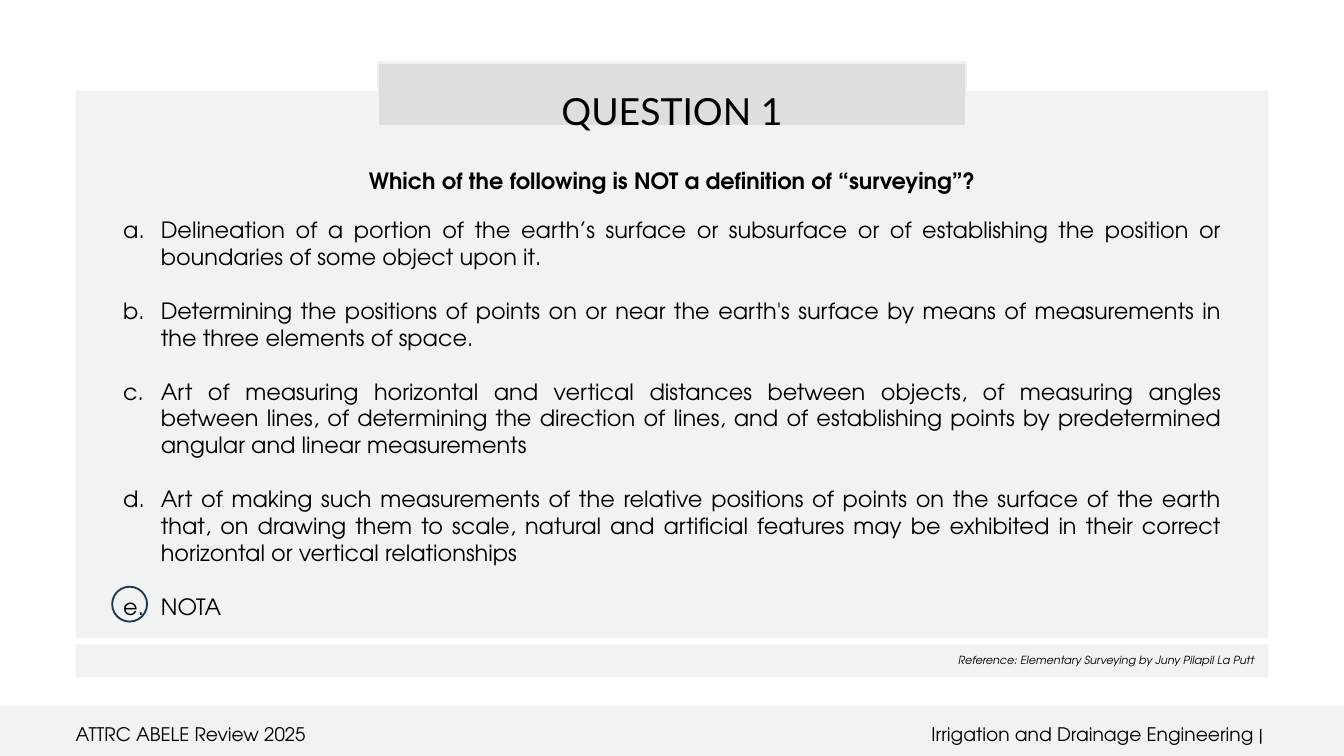
from lxml.etree import SubElement
from pptx import Presentation
from pptx.dml.color import RGBColor
from pptx.enum.shapes import MSO_SHAPE
from pptx.enum.text import PP_ALIGN
from pptx.oxml.ns import qn
from pptx.util import Pt

COLORS = {"panel": "F1F2F2", "tab": "DDDEDE", "ring": "233953", "text": "000000"}
BODY_FONT = "TeX Gyre Adventor"
TITLE_FONT = "Lato"
WIDTH, HEIGHT = 1440, 810
MARGIN = 81
CONTENT_WIDTH = WIDTH - 2 * MARGIN
INDENT = 40.3
OPTION_GAP = 28.8

OPTIONS = [
    "Delineation of a portion of the earth’s surface or subsurface or of "
    "establishing the position or boundaries of some object upon it.",
    "Determining the positions of points on or near the earth's surface by "
    "means of measurements in the three elements of space.",
    "Art of measuring horizontal and vertical distances between objects, of "
    "measuring angles between lines, of determining the direction of lines, "
    "and of establishing points by predetermined angular and linear measurements",
    "Art of making such measurements of the relative positions of points on "
    "the surface of the earth that, on drawing them to scale, natural and "
    "artificial features may be exhibited in their correct horizontal or "
    "vertical relationships",
    "NOTA",
]


def color(name):
    return RGBColor.from_string(COLORS[name])


def add_block(s, box, fill=None, line=None, line_width=2, kind=MSO_SHAPE.RECTANGLE):
    sp = s.shapes.add_shape(kind, *map(Pt, box))
    sp.shadow.inherit = False
    if fill:
        sp.fill.solid()
        sp.fill.fore_color.rgb = color(fill)
    else:
        sp.fill.background()
    if line:
        sp.line.color.rgb = color(line)
        sp.line.width = Pt(line_width)
    else:
        sp.line.fill.background()


def add_text(s, box, lines, size, align=PP_ALIGN.LEFT, spacing=None, gap=0,
             lettered=False, **font):
    tf = s.shapes.add_textbox(*map(Pt, box)).text_frame
    tf.word_wrap = True
    for side in ("left", "top", "right", "bottom"):
        setattr(tf, f"margin_{side}", 0)
    formats = {"name": BODY_FONT, "size": Pt(size), **font}
    for i, line in enumerate(lines):
        p = tf.paragraphs[0] if i == 0 else tf.add_paragraph()
        p.alignment = align
        if spacing:
            p.line_spacing = Pt(spacing)
        if i and gap:
            p.space_before = Pt(gap)
        if lettered:
            pPr = p._p.get_or_add_pPr()
            pPr.set("marL", str(Pt(INDENT)))
            pPr.set("indent", str(-Pt(INDENT)))
            SubElement(pPr, qn("a:buAutoNum"), type="alphaLcPeriod")
        r = p.add_run()
        r.text = line
        for key, value in formats.items():
            setattr(r.font, key, value)
        r.font.color.rgb = color("text")


def add_question(s, x, y, w, h):
    # Panel with the title tab centred on its top edge
    add_block(s, (x, y, w, h), "panel")
    add_block(s, (x + (w - 630) / 2, y - 30, 630, 68), "tab", "panel", 3)
    add_text(s, (x + (w - 724) / 2, y - 47.5, 724, 80.6), ["QUESTION 1"], 40,
             PP_ALIGN.CENTER, 92.5, name=TITLE_FONT)
    # Question and lettered options
    add_text(s, (x + 96, y + 62, w - 192, 45),
             ["Which of the following is NOT a definition of “surveying”?"], 24,
             PP_ALIGN.CENTER, 49, bold=True)
    add_text(s, (x + 51, y + 134.6, w - 102, 436), OPTIONS, 24, PP_ALIGN.JUSTIFY,
             gap=OPTION_GAP, lettered=True)
    # Ring around the answer
    add_block(s, (x + 39.2, y + 531.4, 37.4, 37.4), line="ring", kind=MSO_SHAPE.OVAL)


def add_reference(s, x, y, w, h):
    add_block(s, (x, y, w, h), "panel")
    add_text(s, (x + 15, y + 10, w - 30, 14.4),
             ["Reference: Elementary Surveying by Juny Pilapil La Putt"], 12,
             PP_ALIGN.RIGHT, italic=True)


def add_footer(s, x, y, w, h):
    add_block(s, (x, y, w, h), "panel")
    add_text(s, (x + MARGIN, y, 603, 38), ["ATTRC ABELE Review 2025"], 20, spacing=42)
    add_text(s, (x + w - MARGIN - 429, y, 429, 38),
             ["Irrigation and Drainage Engineering | "], 20, PP_ALIGN.RIGHT, 42)


def main():
    prs = Presentation()
    prs.slide_width, prs.slide_height = Pt(WIDTH), Pt(HEIGHT)
    s = prs.slides.add_slide(prs.slide_layouts[6])
    add_question(s, MARGIN, 97.2, CONTENT_WIDTH, 586)
    add_footer(s, 0, HEIGHT - 54, WIDTH, 54)
    add_reference(s, MARGIN, 690.5, CONTENT_WIDTH, 35.3)
    prs.save("out.pptx")


if __name__ == "__main__":
    main()
